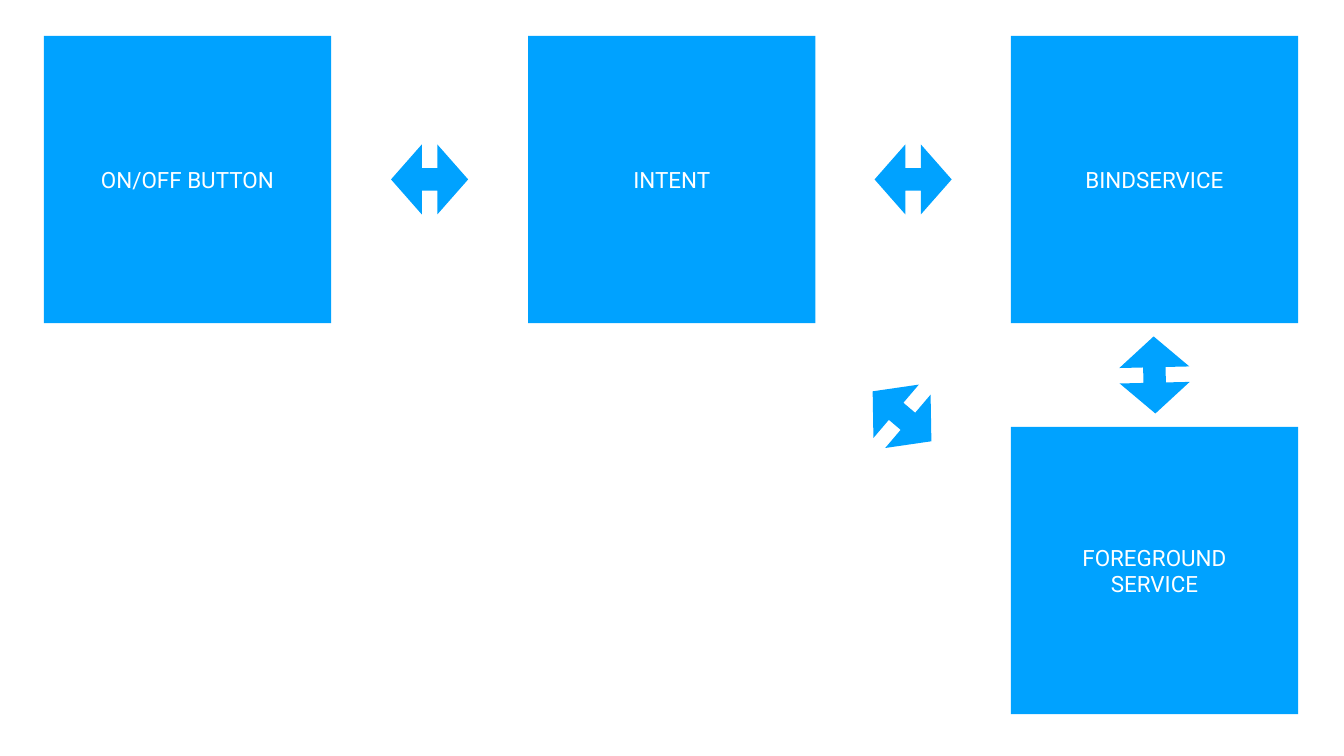
"""Builds the service flow slide: four labelled boxes and two-way arrows."""
import pptx
import pptx.util
import pptx.dml.color
import pptx.enum.shapes
import pptx.enum.text

Inches = pptx.util.Inches
SHAPE = pptx.enum.shapes.MSO_SHAPE

THEME = {"blue": "00A2FF", "white": "FFFFFF", "font": "Roboto", "size": 32}
SIDE = 5.7
ARROW_W, ARROW_H = 1.53, 1.39
ARROW_ADJUST = (0.32, 0.44)

BOXES = {
    "button": (["ON/OFF BUTTON"], 0.87, 0.71),
    "intent": (["INTENT"], 10.48, 0.71),
    "bind": (["BINDSERVICE"], 20.06, 0.71),
    "foreground": (["FOREGROUND", "SERVICE"], 20.06, 8.47),
}
LINKS = [("button", "intent", 0), ("intent", "bind", 0), ("bind", "foreground", 88.7)]
DIAGONAL_ARROW = (17.9, 8.26, 40.4)


def rgb(name):
    return pptx.dml.color.RGBColor.from_string(THEME[name])


def add_filled(slide, kind, left, top, width, height):
    s = slide.shapes.add_shape(
        kind, Inches(left), Inches(top), Inches(width), Inches(height))
    s.shadow.inherit = False
    s.fill.solid()
    s.fill.fore_color.rgb = rgb("blue")
    s.line.fill.background()
    return s


def write_text(tf, lines, size=THEME["size"], color="white", font=THEME["font"],
               align=pptx.enum.text.PP_ALIGN.CENTER):
    tf.word_wrap = True
    tf.vertical_anchor = pptx.enum.text.MSO_ANCHOR.MIDDLE
    tf.margin_left = tf.margin_right = tf.margin_top = tf.margin_bottom = 0
    for i, line in enumerate(lines):
        p = tf.add_paragraph() if i else tf.paragraphs[0]
        p.alignment = align
        r = p.add_run()
        r.text = line
        r.font.size = pptx.util.Pt(size)
        r.font.name = font
        r.font.color.rgb = rgb(color)


def add_arrow(slide, x, y, rotation):
    s = add_filled(slide, SHAPE.LEFT_RIGHT_ARROW,
                   x - ARROW_W / 2, y - ARROW_H / 2, ARROW_W, ARROW_H)
    for i, value in enumerate(ARROW_ADJUST):
        s.adjustments[i] = value
    s.rotation = rotation


def main():
    prs = pptx.Presentation()
    prs.slide_width, prs.slide_height = Inches(26.67), Inches(15)
    slide = prs.slides.add_slide(prs.slide_layouts[6])
    slide.background.fill.solid()
    slide.background.fill.fore_color.rgb = rgb("white")

    for lines, left, top in BOXES.values():
        s = add_filled(slide, SHAPE.RECTANGLE, left, top, SIDE, SIDE)
        write_text(s.text_frame, lines)

    for start, end, rotation in LINKS:
        (_, x1, y1), (_, x2, y2) = BOXES[start], BOXES[end]
        add_arrow(slide, (x1 + x2 + SIDE) / 2, (y1 + y2 + SIDE) / 2, rotation)
    add_arrow(slide, *DIAGONAL_ARROW)

    prs.save("out.pptx")


if __name__ == "__main__":
    main()
